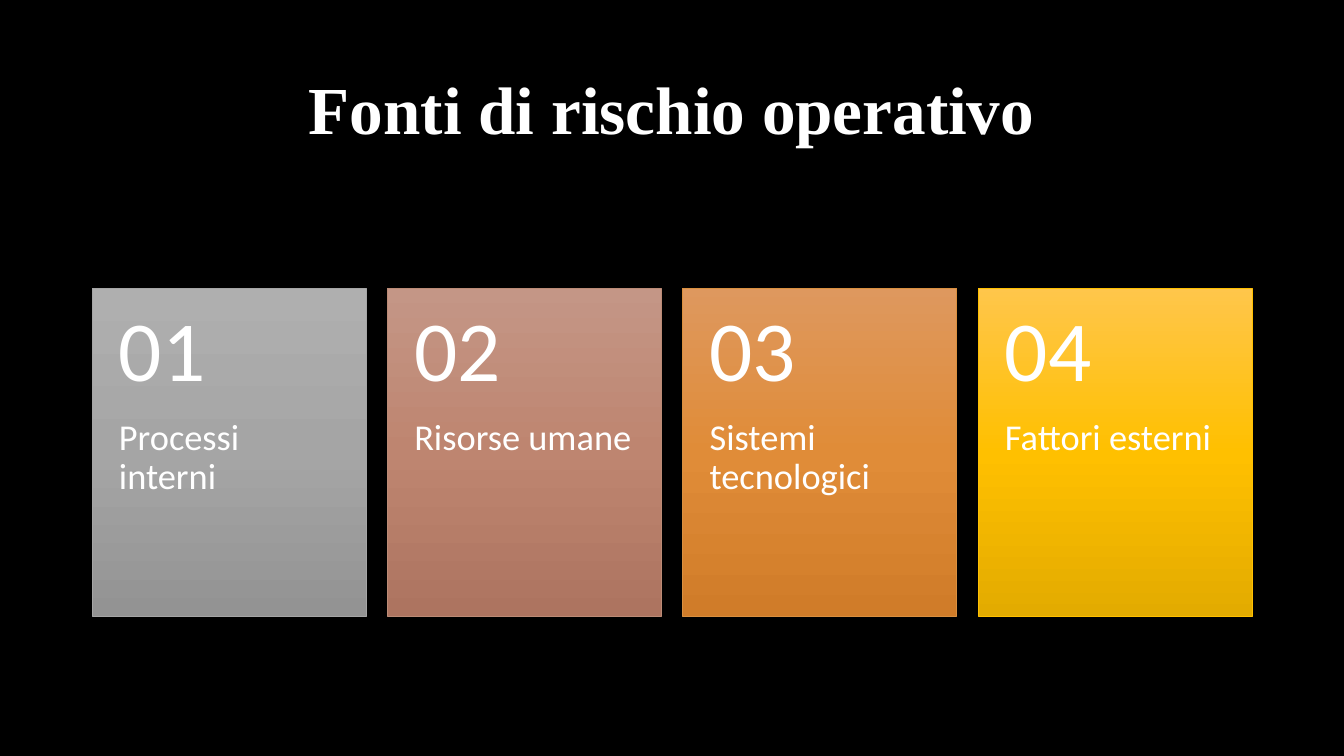
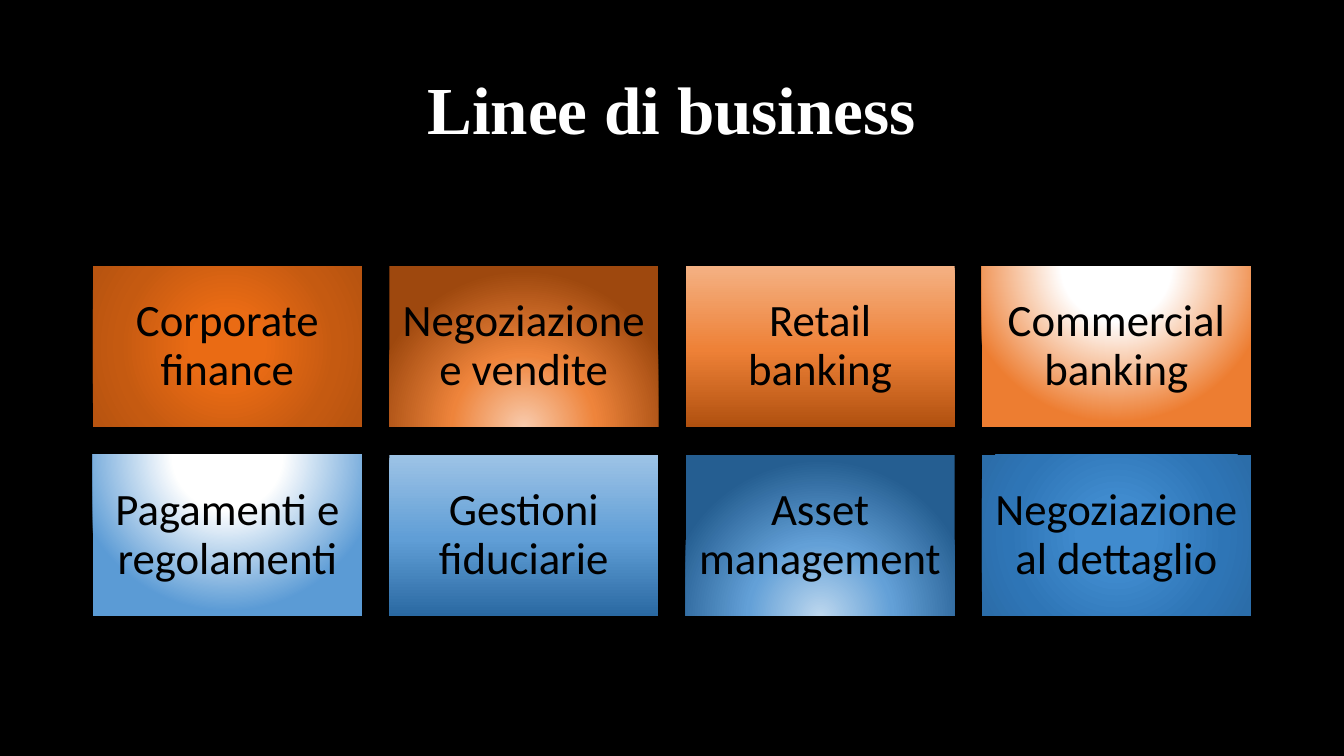
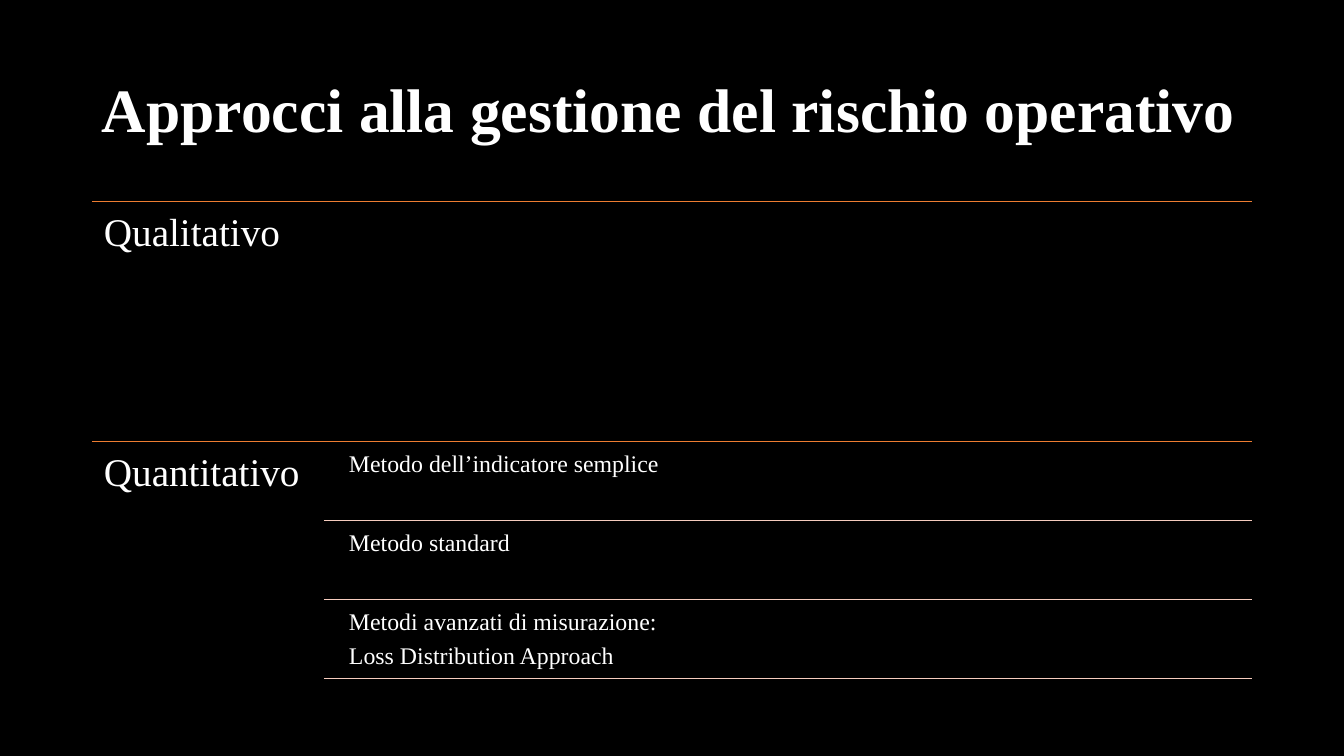
import dataclasses

import lxml.etree
import pptx
import pptx.dml.color
import pptx.enum.shapes
import pptx.enum.text
import pptx.oxml.ns
import pptx.util

Align = pptx.enum.text.PP_ALIGN
Anchor = pptx.enum.text.MSO_ANCHOR


@dataclasses.dataclass(frozen=True)
class Theme:
    """Colours, fonts and type sizes of the deck."""
    back: str = "000000"
    light: str = "FFFFFF"
    dark: str = "000000"
    rule: str = "ED7D31"
    pale: str = "F6CCBE"
    sans: str = "Calibri"
    serif: str = "Times New Roman"
    title: int = 48
    long: int = 44
    digit: int = 61
    label: int = 26
    tile: int = 32
    head: int = 28
    item: int = 17
    hair: float = 0.5
    lead: float = 0.9
    after: float = 0.35


THEME = Theme()
SCALE = 12192000 / 1344
LEFT, WIDE = 92, 1160

MID = (50, 50, 50, 50)
BASE = (50, 130, 50, -30)
CROWN = (50, -80, 50, 180)

CARDS = [
    ("Processi interni", "A5A5A5", [(0, "AFAFAF"), (50, "A5A5A5"), (100, "939393")]),
    ("Risorse umane", "BB8B76", [(0, "C49686"), (50, "BE8570"), (100, "AD7460")]),
    ("Sistemi tecnologici", "D98F3F", [(0, "DE985E"), (50, "E08C38"), (100, "D07C29")]),
    ("Fattori esterni", "FFC000", [(0, "FFC64B"), (50, "FFC000"), (100, "E3AB00")]),
]

TILES = [
    ("Corporate finance", MID,
     [(0, "EA6B14"), (23, "EA6B14"), (69, "C55A11"), (97, "B85410")]),
    ("Negoziazione e vendite", BASE, [(0, "F8CBAD"), (46, "EE843B"), (100, "9E480E")]),
    ("Retail banking", None, [(0, "F4B183"), (52, "EE8137"), (100, "B0500F")]),
    ("Commercial banking", CROWN, [(0, "FFFFFF"), (35, "FFFFFF"), (100, "ED7D31")]),
    ("Pagamenti e regolamenti", CROWN, [(0, "FFFFFF"), (35, "FFFFFF"), (100, "5B9BD5")]),
    ("Gestioni fiduciarie", None, [(0, "9DC3E6"), (52, "609ED6"), (100, "2A69A2")]),
    ("Asset management", BASE, [(0, "BDD7EE"), (46, "63A0D7"), (100, "255E91")]),
    ("Negoziazione al dettaglio", MID,
     [(0, "408BCE"), (23, "408BCE"), (69, "2E75B6"), (97, "2B6DA9")]),
]

HEADS = ["Qualitativo", "Quantitativo"]
ITEMS = [
    ["Metodo dell’indicatore semplice"],
    ["Metodo standard"],
    ["Metodi avanzati di misurazione:", "Loss Distribution Approach"],
]


def px(*sizes):
    """Turn px lengths into a list of EMU."""
    return [pptx.util.Emu(round(size * SCALE)) for size in sizes]


def rgb(code):
    """Turn a hex code into a colour."""
    return pptx.dml.color.RGBColor.from_string(code)


def write(shape, lines, size, font=THEME.serif, color=THEME.light, bold=False,
          align=Align.LEFT, anchor=Anchor.TOP, inset=(10, 5, 10, 5)):
    """Fill a shape with styled paragraphs."""
    frame = shape.text_frame
    frame.word_wrap = True
    frame.vertical_anchor = anchor
    (frame.margin_left, frame.margin_top,
     frame.margin_right, frame.margin_bottom) = px(*inset)
    frame.text = "\n".join(lines)
    for para in frame.paragraphs:
        para.alignment = align
        para.line_spacing = THEME.lead
        para.space_after = pptx.util.Pt(round(size * THEME.after))
        para.font.name = font
        para.font.size = pptx.util.Pt(size)
        para.font.bold = bold
        para.font.color.rgb = rgb(color)


def text(slide, box, lines, size, **style):
    """Add a text box."""
    write(slide.shapes.add_textbox(*px(*box)), lines, size, **style)


def shade(shape, stops, focus=None):
    """Give a shape a gradient, downward or around a focus."""
    shape.fill.solid()
    props = shape.fill._xPr
    old = props.find(pptx.oxml.ns.qn("a:solidFill"))
    marks = "".join(f'<a:gs pos="{pos * 1000}"><a:srgbClr val="{code}"/></a:gs>'
                    for pos, code in stops)
    if focus:
        sides = " ".join(f'{side}="{part * 1000}"' for side, part in zip("ltrb", focus))
        form = f'<a:path path="circle"><a:fillToRect {sides}/></a:path>'
    else:
        form = '<a:lin ang="5400000" scaled="0"/>'
    space = pptx.oxml.ns.nsdecls("a")
    props.replace(old, pptx.oxml.parse_xml(
        f'<a:gradFill {space} rotWithShape="1"><a:gsLst>{marks}</a:gsLst>{form}</a:gradFill>'))


def block(slide, box, stops, focus=None, edge=None):
    """Add a shaded rectangle, outlined if an edge colour is given."""
    shape = slide.shapes.add_shape(pptx.enum.shapes.MSO_SHAPE.RECTANGLE, *px(*box))
    shape.shadow.inherit = False
    shade(shape, stops, focus)
    if edge:
        shape.line.color.rgb = rgb(edge)
        shape.line.width = pptx.util.Pt(THEME.hair)
    else:
        shape.line.fill.background()
    return shape


def rule(slide, left, top, color):
    """Add a hairline from left to the right margin."""
    line = slide.shapes.add_connector(pptx.enum.shapes.MSO_CONNECTOR.STRAIGHT,
                                      *px(left, top, LEFT + WIDE, top))
    line.line.color.rgb = rgb(color)
    line.line.width = pptx.util.Pt(THEME.hair)
    lxml.etree.SubElement(line._element.spPr, pptx.oxml.ns.qn("a:effectLst"))


def start(deck, title, size=THEME.title, align=Align.CENTER):
    """Add a blank slide with its title."""
    slide = deck.slides.add_slide(deck.slide_layouts[6])
    text(slide, (LEFT, 40, WIDE, 146), [title], size, bold=True,
         align=align, anchor=Anchor.MIDDLE)
    return slide


def risks(deck):
    """Build the numbered cards of risk sources."""
    slide = start(deck, "Fonti di rischio operativo")
    top, width, height, head = 288, 274, 328, 131
    step = (WIDE - width) / (len(CARDS) - 1)
    for i, (label, edge, stops) in enumerate(CARDS):
        left = LEFT + i * step
        card = block(slide, (left, top, width, height), stops, edge=edge)
        write(card, [label], THEME.label, font=THEME.sans, inset=(27, head, 27, 36))
        text(slide, (left, top, width, head), [f"{i + 1:02}"], THEME.digit,
             font=THEME.sans, anchor=Anchor.MIDDLE, inset=(27, 18, 27, 18))


def lines(deck):
    """Build the grid of business lines."""
    slide = start(deck, "Linee di business")
    left, top, width, height, cols = 93, 266, 269, 161, 4
    across, down = (WIDE - 2 - width) / (cols - 1), 189
    for i, (label, focus, stops) in enumerate(TILES):
        row, col = divmod(i, cols)
        box = (left + col * across, top + row * down, width, height)
        write(block(slide, box, stops, focus), [label], THEME.tile, font=THEME.sans,
              color=THEME.dark, align=Align.CENTER, anchor=Anchor.MIDDLE,
              inset=(13, 13, 13, 13))


def modes(deck):
    """Build the ruled list of approaches."""
    slide = start(deck, "Approcci alla gestione del rischio operativo",
                  THEME.long, Align.LEFT)
    top, height, width, step = 201, 240, 232, 79
    for i, head in enumerate(HEADS):
        level = top + i * height
        rule(slide, LEFT, level, THEME.rule)
        text(slide, (LEFT, level, width, height), [head], THEME.head,
             inset=(12, 12, 12, 12))
    for i, item in enumerate(ITEMS):
        row = level + i * step
        text(slide, (342, row + 4, 910, 75), item, THEME.item, inset=(7, 7, 7, 7))
        rule(slide, LEFT + width, row + step, THEME.pale)


def main():
    """Build and save the deck."""
    deck = pptx.Presentation()
    deck.slide_width, deck.slide_height = px(1344, 756)
    fill = deck.slide_master.background.fill
    fill.solid()
    fill.fore_color.rgb = rgb(THEME.back)
    risks(deck)
    lines(deck)
    modes(deck)
    deck.save("out.pptx")


if __name__ == "__main__":
    main()
